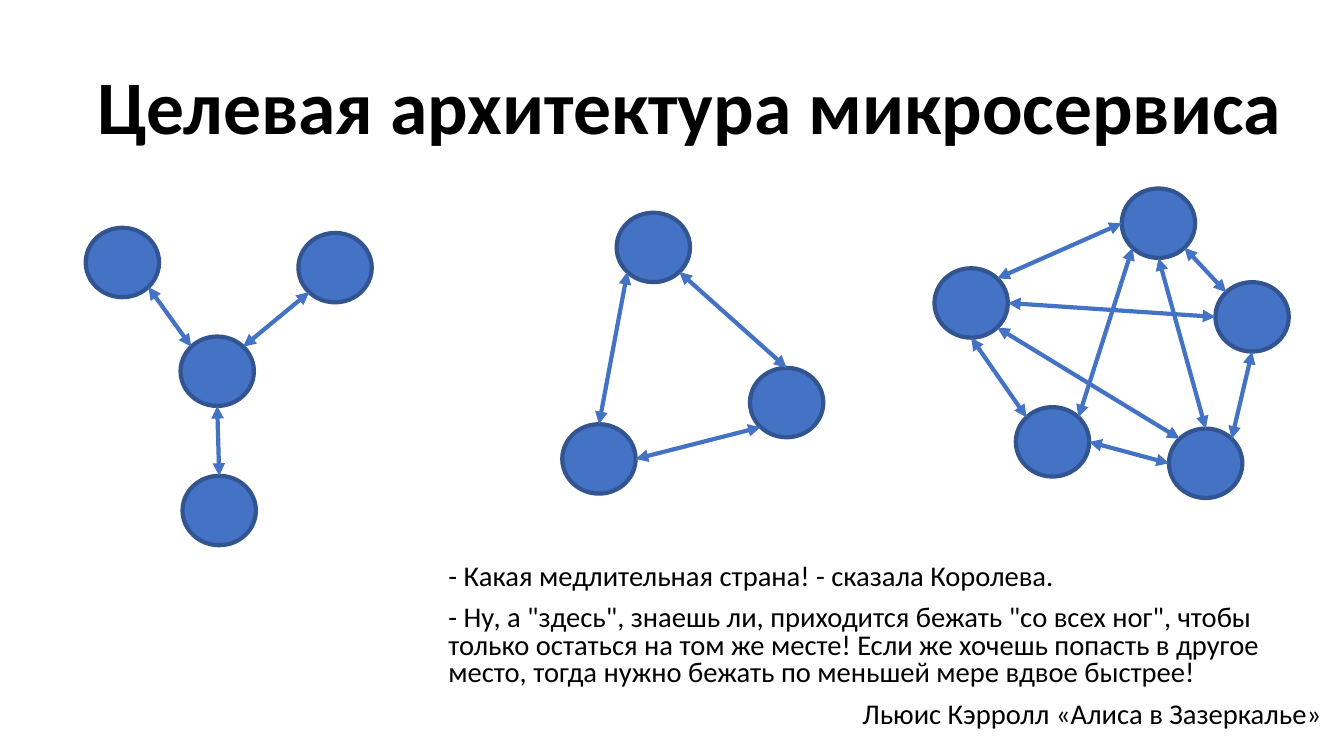
"""Builds a slide comparing three service topologies, with a closing quotation."""
from dataclasses import dataclass
from enum import Enum
from math import sqrt

from lxml import etree
from pptx import Presentation
from pptx import util as u
from pptx.dml.color import RGBColor
from pptx.enum import shapes, text
from pptx.oxml import ns
from pptx.slide import Slide


@dataclass(frozen=True)
class Theme:
    """Colours, font and sizes used across the slide."""

    font: str = "Calibri"
    ink: RGBColor = RGBColor(0x00, 0x00, 0x00)
    accent: RGBColor = RGBColor(0x44, 0x72, 0xC4)
    outline: RGBColor = RGBColor(0x32, 0x54, 0x91)
    title_size: float = 54
    quote_size: float = 20.4
    line_width: float = 3
    node_width: float = 1.85
    node_height: float = 1.75


DIAGONAL = sqrt(0.5)


class Site(Enum):
    """Connection site of a node, as a direction from its centre."""

    N = (0, -1)
    NE = (DIAGONAL, -DIAGONAL)
    E = (1, 0)
    SE = (DIAGONAL, DIAGONAL)
    S = (0, 1)
    SW = (-DIAGONAL, DIAGONAL)
    W = (-1, 0)
    NW = (-DIAGONAL, -DIAGONAL)


@dataclass(frozen=True)
class Node:
    """Service circle given by its left and top in centimetres."""

    left: float
    top: float

    def point(self, site: Site) -> tuple[u.Length, u.Length]:
        """Return the position of a connection site."""
        across, down = site.value
        return (
            u.Cm(self.left + THEME.node_width / 2 * (1 + across)),
            u.Cm(self.top + THEME.node_height / 2 * (1 + down)),
        )


@dataclass(frozen=True)
class Link:
    """Two-way arrow between sites of two named nodes."""

    start: str
    start_site: Site
    end: str
    end_site: Site


@dataclass(frozen=True)
class Topology:
    """Named nodes and the links between them."""

    nodes: dict[str, Node]
    links: list[Link]


@dataclass(frozen=True)
class TextBlock:
    """Text box with its frame in centimetres and its paragraphs."""

    frame: tuple[float, float, float, float]
    paragraphs: list[tuple[str, text.PP_ALIGN]]
    size: float
    line_spacing: float
    anchor: text.MSO_ANCHOR = text.MSO_ANCHOR.TOP
    bold: bool = False
    gap: float = 10


THEME = Theme()

STAR = Topology(
    {
        "left": Node(2.16, 5.74),
        "right": Node(7.52, 5.87),
        "bottom": Node(4.6, 11.99),
        "hub": Node(4.55, 8.48),
    },
    [
        Link("hub", Site.NE, "right", Site.SW),
        Link("bottom", Site.N, "hub", Site.S),
        Link("left", Site.SE, "hub", Site.NW),
    ],
)

TRIANGLE = Topology(
    {
        "top": Node(15.54, 5.36),
        "left": Node(14.17, 10.69),
        "right": Node(18.9, 9.27),
    },
    [
        Link("right", Site.N, "top", Site.SE),
        Link("left", Site.E, "right", Site.SW),
        Link("left", Site.N, "top", Site.SW),
    ],
)

MESH = Topology(
    {
        "top": Node(28.27, 4.75),
        "left": Node(23.55, 6.76),
        "low_left": Node(25.6, 10.26),
        "right": Node(30.63, 7.11),
        "low_right": Node(29.46, 10.8),
    },
    [
        Link("low_right", Site.NE, "right", Site.S),
        Link("left", Site.S, "low_left", Site.NW),
        Link("right", Site.NW, "top", Site.SE),
        Link("left", Site.NE, "top", Site.W),
        Link("low_right", Site.W, "low_left", Site.E),
        Link("low_right", Site.N, "top", Site.S),
        Link("left", Site.E, "right", Site.W),
        Link("low_left", Site.NE, "top", Site.SW),
        Link("left", Site.SE, "low_right", Site.NW),
    ],
)

TITLE = TextBlock(
    (1.47, 0.58, 31.83, 3.35),
    [("Целевая архитектура микросервиса", text.PP_ALIGN.CENTER)],
    THEME.title_size, 0.9, text.MSO_ANCHOR.BOTTOM, True,
)

QUOTE = TextBlock(
    (11.05, 14.1, 22.5, 4.6),
    [
        ("- Какая медлительная страна! - сказала Королева.", text.PP_ALIGN.LEFT),
        ('- Ну, а "здесь", знаешь ли, приходится бежать "со всех ног", чтобы '
         "только остаться на том же месте! Если же хочешь попасть в другое "
         "место, тогда нужно бежать по меньшей мере вдвое быстрее!", text.PP_ALIGN.LEFT),
        ("Льюис Кэрролл «Алиса в Зазеркалье»", text.PP_ALIGN.RIGHT),
    ],
    THEME.quote_size, 0.8,
)


def draw_text(page: Slide, block: TextBlock) -> None:
    """Draw a text block."""
    frame = page.shapes.add_textbox(*map(u.Cm, block.frame)).text_frame
    frame.word_wrap = True
    frame.vertical_anchor = block.anchor
    frame.text = "\n".join(words for words, _ in block.paragraphs)
    for index, (para, (_, alignment)) in enumerate(zip(frame.paragraphs, block.paragraphs)):
        para.alignment = alignment
        para.line_spacing = block.line_spacing
        para.space_before = u.Pt(block.gap if index else 0)
        for span in para.runs:
            span.font.name = THEME.font
            span.font.size = u.Pt(block.size)
            span.font.bold = block.bold
            span.font.color.rgb = THEME.ink


def draw_node(page: Slide, node: Node) -> None:
    """Draw one service circle."""
    frame = (node.left, node.top, THEME.node_width, THEME.node_height)
    circle = page.shapes.add_shape(shapes.MSO_SHAPE.OVAL, *map(u.Cm, frame))
    circle.shadow.inherit = False
    circle.fill.solid()
    circle.fill.fore_color.rgb = THEME.accent
    circle.line.color.rgb = THEME.outline
    circle.line.width = u.Pt(THEME.line_width)


def draw_link(page: Slide, nodes: dict[str, Node], link: Link) -> None:
    """Draw one arrow with a head at each end."""
    start = nodes[link.start].point(link.start_site)
    end = nodes[link.end].point(link.end_site)
    arrow = page.shapes.add_connector(shapes.MSO_CONNECTOR.STRAIGHT, *start, *end)
    arrow.line.color.rgb = THEME.accent
    arrow.line.width = u.Pt(THEME.line_width)
    outline = arrow.line._get_or_add_ln()
    for tag in ("a:headEnd", "a:tailEnd"):
        etree.SubElement(outline, ns.qn(tag), type="triangle")
    etree.SubElement(arrow._element.spPr, ns.qn("a:effectLst"))


def main() -> None:
    """Build and save the deck."""
    deck = Presentation()
    deck.slide_width, deck.slide_height = u.Cm(33.87), u.Cm(19.05)
    page = deck.slides.add_slide(deck.slide_layouts[6])
    for block in (TITLE, QUOTE):
        draw_text(page, block)
    for topology in (STAR, TRIANGLE, MESH):
        for node in topology.nodes.values():
            draw_node(page, node)
        for link in topology.links:
            draw_link(page, topology.nodes, link)
    deck.save("out.pptx")


if __name__ == "__main__":
    main()
